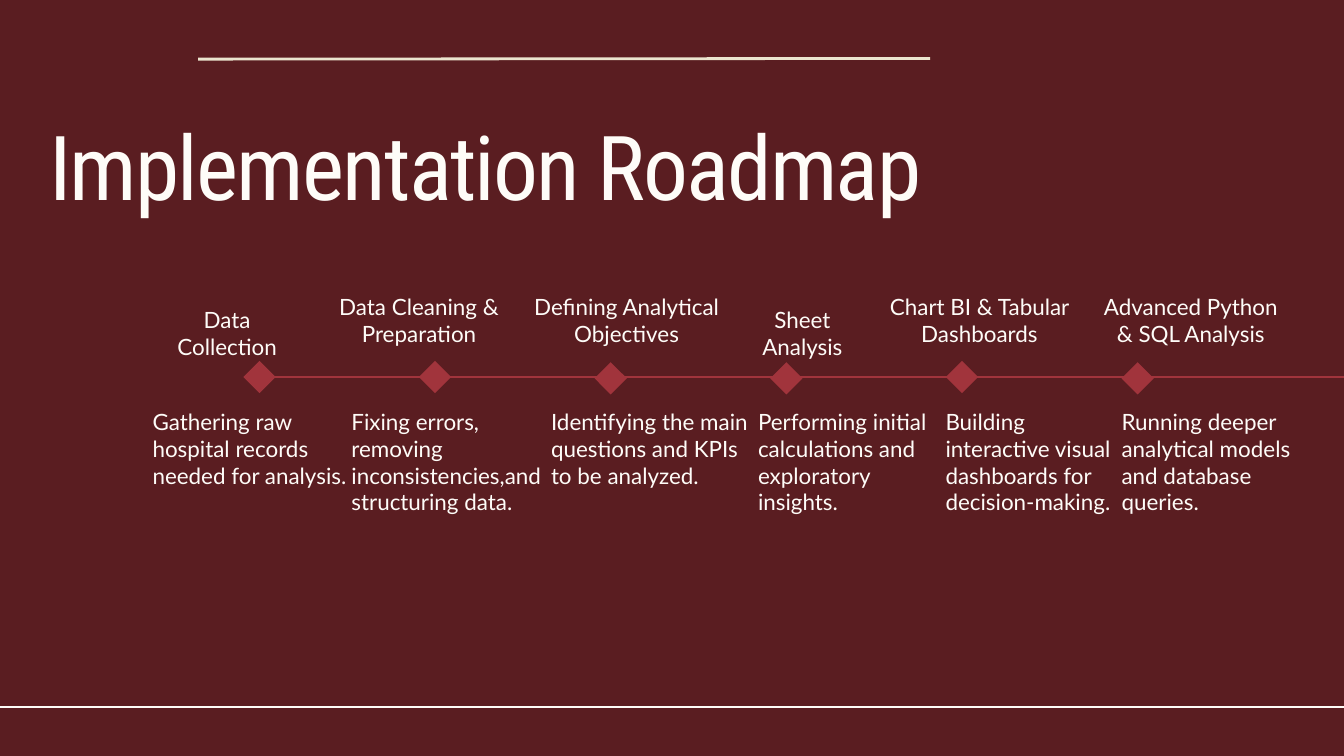
from lxml import etree
from pptx import Presentation
from pptx.dml.color import RGBColor
from pptx.enum.shapes import MSO_CONNECTOR as CONNECTOR, MSO_SHAPE as SHAPE
from pptx.enum.text import MSO_AUTO_SIZE as AUTO_SIZE, PP_ALIGN as ALIGN
from pptx.oxml.ns import qn
from pptx.util import Inches, Pt

BACKGROUND = "5A1D21"
ACCENT = "A1343C"
LIGHT = "FEFCF8"
CREAM = "EBE5CF"

FIRST_MARKER, LAST_MARKER, MARKER_SIZE = 3.62, 16.69, 0.48
DESCRIPTION_TOP, DESCRIPTION_HEIGHT = 6.07, 1.58

MILESTONES = [
    ("Data Collection", (2.27, 4.56, 2.22, 0.4),
     "Gathering raw hospital records needed for analysis.", 2.27, 3.1, 5.37),
    ("Data Cleaning & Preparation", (4.66, 4.36, 3.15, 0.79),
     "Fixing errors, removing inconsistencies,and structuring data.", 5.23, 2.96, 5.37),
    ("Defining Analytical Objectives", (7.81, 4.36, 3.03, 0.79),
     "Identifying the main questions and KPIs to be analyzed.", 8.2, 3.07, 5.39),
    ("Sheet Analysis", (10.93, 4.56, 2.02, 0.4),
     "Performing initial calculations and exploratory insights.", 11.28, 2.79, 5.39),
    ("Chart BI & Tabular Dashboards", (13.12, 4.36, 2.91, 0.79),
     "Building interactive visual dashboards for decision-making.", 14.07, 2.62, 5.37),
    ("Advanced Python & SQL Analysis", (16.34, 4.36, 2.76, 0.79),
     "Running deeper analytical models and database queries.", 16.69, 2.99, 5.39),
]


def color(value):
    return RGBColor.from_string(value)


def add_line(page, start, end, line_color, width):
    line = page.shapes.add_connector(
        CONNECTOR.STRAIGHT, *[Inches(value) for value in (*start, *end)])
    line.line.color.rgb = color(line_color)
    line.line.width = Pt(width)
    etree.SubElement(line._element.spPr, qn("a:effectLst"))


def add_marker(page, left, top):
    marker = page.shapes.add_shape(
        SHAPE.DIAMOND, Inches(left), Inches(top), Inches(MARKER_SIZE), Inches(MARKER_SIZE))
    marker.shadow.inherit = False
    marker.fill.solid()
    marker.fill.fore_color.rgb = color(ACCENT)
    marker.line.fill.background()


def add_text(page, text, bounds, size=24, leading=28.8, font="Lato",
             align=ALIGN.LEFT, tracking=0):
    box = page.shapes.add_textbox(*[Inches(value) for value in bounds])
    frame = box.text_frame
    frame.margin_left = frame.margin_right = frame.margin_top = frame.margin_bottom = 0
    frame.word_wrap = True
    frame.auto_size = AUTO_SIZE.SHAPE_TO_FIT_TEXT
    frame.text = text
    para = frame.paragraphs[0]
    para.alignment = align
    para.line_spacing = Pt(leading)
    span = para.runs[0]
    span.font.name = font
    span.font.size = Pt(size)
    span.font.color.rgb = color(LIGHT)
    if tracking:
        span.font._element.set("spc", str(round(tracking * 100)))


def add_milestones(page):
    pitch = (LAST_MARKER - FIRST_MARKER) / (len(MILESTONES) - 1)
    for index, (label, bounds, description, left, width, marker_top) in enumerate(MILESTONES):
        add_marker(page, FIRST_MARKER + index * pitch, marker_top)
        add_text(page, label, bounds, align=ALIGN.CENTER)
        add_text(page, description, (left, DESCRIPTION_TOP, width, DESCRIPTION_HEIGHT))


def main():
    deck = Presentation()
    deck.slide_width, deck.slide_height = Inches(20), Inches(11.25)
    page = deck.slides.add_slide(deck.slide_layouts[6])
    page.background.fill.solid()
    page.background.fill.fore_color.rgb = color(BACKGROUND)

    add_line(page, (3.75, 5.61), (20, 5.61), ACCENT, 1.5)
    add_line(page, (0, 10.52), (20, 10.52), LIGHT, 1.5)
    add_text(page, "Implementation Roadmap", (0.73, 1.92, 17.3, 1.4),
             size=96, leading=96, font="Roboto Condensed", tracking=-1.9)
    add_milestones(page)
    add_line(page, (2.95, 0.88), (13.84, 0.87), CREAM, 3)

    deck.save("out.pptx")


if __name__ == "__main__":
    main()
